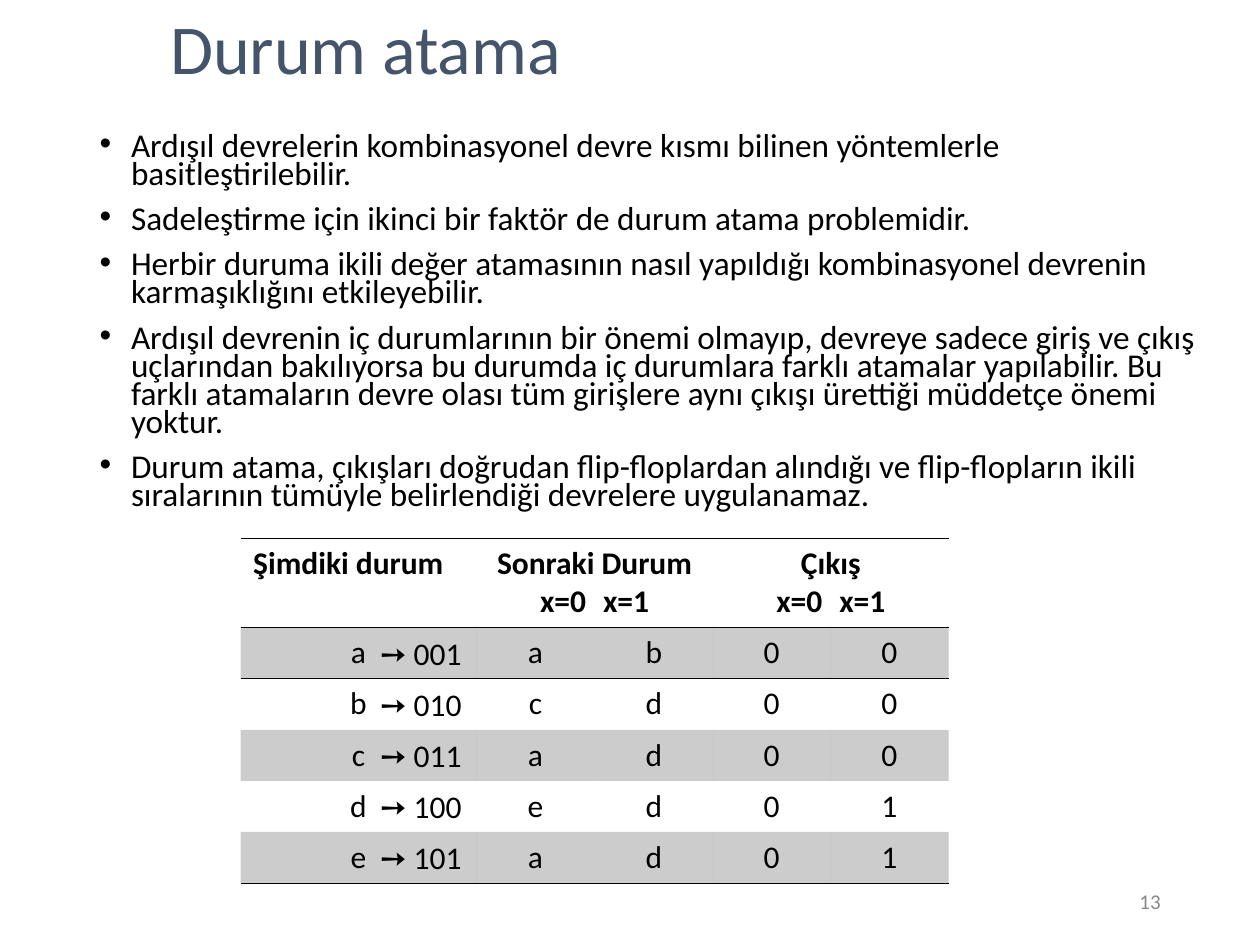
from pptx import Presentation
from pptx.dml.color import RGBColor as Rgb
from pptx.enum.text import MSO_ANCHOR as Anchor, MSO_AUTO_SIZE as Fit, PP_ALIGN as Align
from pptx.oxml.ns import qn
from pptx.util import Inches, Pt
from lxml.etree import SubElement as Sub, Element

TITLE = "Durum atama"
POINTS = [
    "Ardışıl devrelerin kombinasyonel devre kısmı bilinen yöntemlerle basitleştirilebilir.",
    "Sadeleştirme için ikinci bir faktör de durum atama problemidir.",
    "Herbir duruma ikili değer atamasının nasıl yapıldığı kombinasyonel devrenin karmaşıklığını etkileyebilir.",
    "Ardışıl devrenin iç durumlarının bir önemi olmayıp, devreye sadece giriş ve çıkış uçlarından bakılıyorsa bu durumda iç durumlara farklı atamalar yapılabilir. Bu farklı atamaların devre olası tüm girişlere aynı çıkışı ürettiği müddetçe önemi yoktur.",
    "Durum atama, çıkışları doğrudan flip-floplardan alındığı ve flip-flopların ikili sıralarının tümüyle belirlendiği devrelere uygulanamaz.",
]
HEAD = [(0, 0, ["Şimdiki durum"]),
        (1, 2, ["Sonraki Durum", "x=0\tx=1"]),
        (3, 4, ["Çıkış", "x=0\tx=1"])]
STATES = ["aab00", "bcd00", "cad00", "ded01", "ead01"]
CODES = ["001", "010", "011", "100", "101"]
PAGE = "13"

THEME = {"font": "Calibri", "ink": "000000", "title": "44546A", "page": "898989",
         "band": 20, "rule": 0.45,
         "size": {"title": 40, "body": 19, "cell": 18, "page": 12}}
COLS = [1.87, 0.94, 0.94, 0.93, 0.94]
TOP, LINE = 0.7, 0.405
CLEAR = "{2D5ABB26-0587-4C30-8999-92F81FD0307C}"


def write(frame, lines, size="cell", color="ink", bold=False, align=Align.CENTER,
          anchor=Anchor.TOP, space=None, before=0, hang=0):
    frame.word_wrap = True
    frame.vertical_anchor = anchor
    for i, line in enumerate(lines):
        par = frame.paragraphs[0] if i == 0 else frame.add_paragraph()
        par.alignment = align
        par.space_before = Pt(before)
        if space:
            par.line_spacing = space
        if hang:
            prop = par._p.get_or_add_pPr()
            prop.set("marL", str(Inches(hang)))
            prop.set("indent", str(-Inches(hang)))
        run = par.add_run()
        run.text = line
        font = run.font
        font.name, font.size, font.bold = THEME["font"], Pt(THEME["size"][size]), bold
        font.color.rgb = Rgb.from_string(THEME[color])


def place(shape, *box):
    shape.left, shape.top, shape.width, shape.height = map(Inches, box)
    return shape


def grid(slide, left, top, cols, rows):
    shape = slide.shapes.add_table(len(rows), len(cols), Inches(left), Inches(top),
                                   Inches(sum(cols)), Inches(sum(rows)))
    table = shape.table
    table.first_row = table.horz_banding = False
    table._tbl.tblPr.find(qn("a:tableStyleId")).text = CLEAR
    for col, wide in zip(table.columns, cols):
        col.width = Inches(wide)
    for row, high in zip(table.rows, rows):
        row.height = Inches(high)
    return table


def shade(cell):
    cell.fill.solid()
    cell.fill.fore_color.rgb = Rgb.from_string(THEME["ink"])
    tint = cell._tc.tcPr.find(qn("a:solidFill"))[0]
    Sub(tint, qn("a:alpha"), val=str(THEME["band"] * 1000))


def rule(cell, sides):
    prop = cell._tc.get_or_add_tcPr()
    for i, side in enumerate(sides):
        line = Element(qn("a:ln" + side), w=str(Pt(THEME["rule"])))
        fill = Sub(line, qn("a:solidFill"))
        Sub(fill, qn("a:srgbClr"), val=THEME["ink"])
        prop.insert(i, line)


def main():
    deck = Presentation()
    deck.slide_width, deck.slide_height = Inches(10), Inches(7.5)
    slide = deck.slides.add_slide(deck.slide_layouts[1])

    title = place(slide.shapes.title, 1.25, 0.08, 8.5, 0.67).text_frame
    title.auto_size = Fit.NONE
    write(title, [TITLE], size="title", color="title", align=Align.LEFT, anchor=Anchor.BOTTOM)

    body = place(slide.placeholders[1], 0.69, 1.02, 9.06, 3.11).text_frame
    body.auto_size = Fit.NONE
    write(body, POINTS, size="body", align=Align.LEFT, space=0.7, before=10, hang=0.25)

    lines = [LINE] * len(STATES)
    table = grid(slide, 1.91, 4.27, COLS, [TOP] + lines)
    for first, last, text in HEAD:
        cell = table.cell(0, first)
        if last > first:
            cell.merge(table.cell(0, last))
        write(cell.text_frame, text, bold=True, align=Align.CENTER if first else Align.LEFT)
    for r, state in enumerate(STATES, 1):
        for c, value in enumerate(state):
            cell = table.cell(r, c)
            write(cell.text_frame, [value])
            if r % 2:
                shade(cell)
    ends = {0: "TB", 1: "T", len(STATES): "B"}
    for r, sides in ends.items():
        for c in range(len(COLS)):
            rule(table.cell(r, c), sides)

    codes = grid(slide, 2.87, 4.99, [0.94], lines)
    for r, code in enumerate(CODES):
        write(codes.cell(r, 0).text_frame, ["➙ " + code])

    page = slide.shapes.add_textbox(*map(Inches, (7.06, 6.95, 2.25, 0.4)))
    write(page.text_frame, [PAGE], size="page", color="page", align=Align.RIGHT,
          anchor=Anchor.MIDDLE)
    deck.save("out.pptx")


if __name__ == "__main__":
    main()
